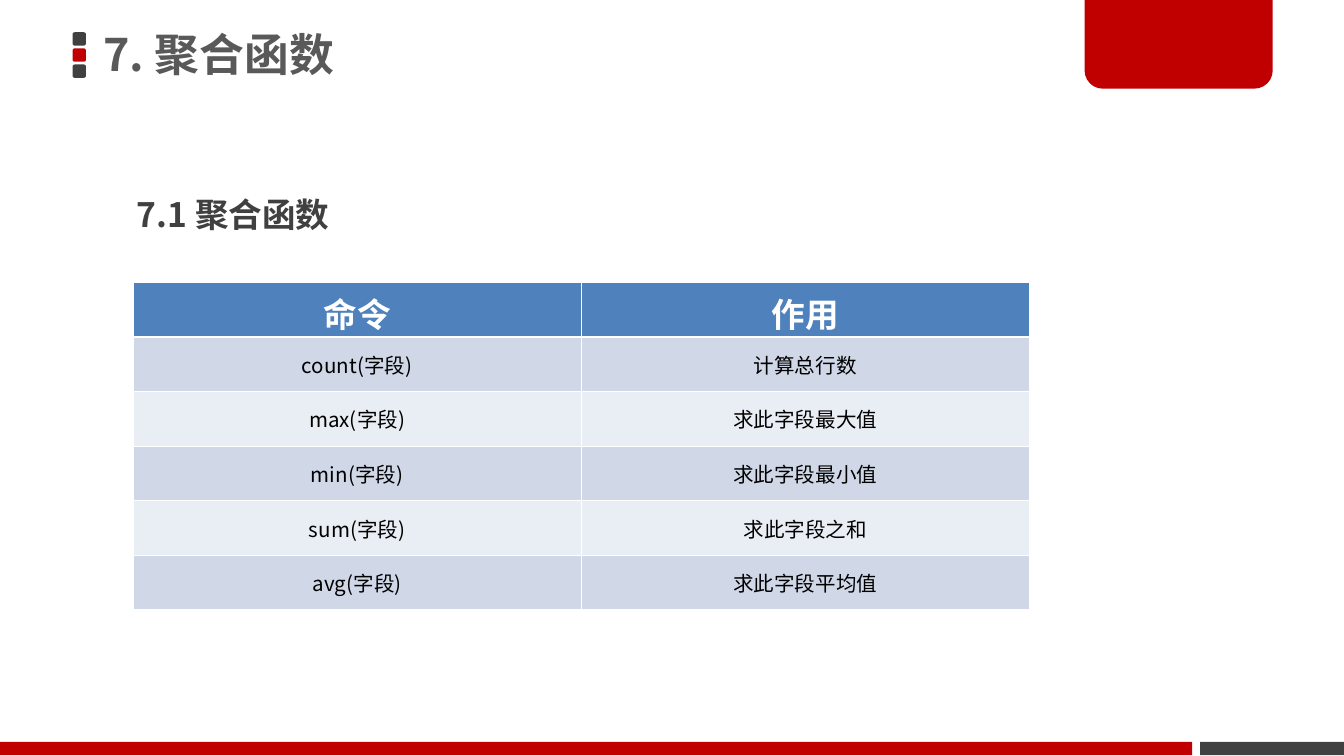
from lxml import etree
from pptx import Presentation
from pptx.dml.color import RGBColor
from pptx.enum.shapes import MSO_SHAPE
from pptx.enum.text import MSO_ANCHOR, MSO_AUTO_SIZE, PP_ALIGN
from pptx.oxml.ns import qn
from pptx.util import Inches, Pt

DARK, RED, WHITE = "404040", "C00000", "FFFFFF"
CJK_FONT = "Noto Sans CJK SC"


def paint(fill, color):
    fill.solid()
    fill.fore_color.rgb = RGBColor.from_string(color)


def style_text(paragraph, size, color, bold, name=CJK_FONT):
    """Set the font for both Latin and East Asian characters."""
    font = paragraph.font
    font.size, font.bold, font.name = Pt(size), bold, name
    paint(font.fill, color)
    properties = paragraph._p.pPr.find(qn("a:defRPr"))
    etree.SubElement(properties, qn("a:ea"), typeface=name)


presentation = Presentation()
presentation.slide_width = Inches(10)
presentation.slide_height = Inches(10 * 9 / 16)
slide = presentation.slides.add_slide(presentation.slide_layouts[5])

# Title markers, footer bars and corner tab
ROUND, RECT, TAB = (MSO_SHAPE.ROUNDED_RECTANGLE, MSO_SHAPE.RECTANGLE,
                    MSO_SHAPE.ROUND_2_SAME_RECTANGLE)
decorations = [(ROUND, 0.54, 0.24 + 0.12 * i, 0.1, 0.1, color)
               for i, color in enumerate((DARK, RED, DARK))]
decorations += [
    (RECT, 8.93, 5.52, 1.07, 0.1, DARK),
    (TAB, 8.07, -0.02, 1.4, 0.68, RED),
    (RECT, 0, 5.52, 8.87, 0.1, RED),
]
for kind, left, top, width, height, color in decorations:
    shape = slide.shapes.add_shape(
        kind, Inches(left), Inches(top), Inches(width), Inches(height))
    shape.shadow.inherit = False
    paint(shape.fill, color)
    shape.line.fill.background()
    if kind == TAB:
        shape.adjustments[0], shape.adjustments[1] = 0, 0.2

# Title
title = slide.shapes.title
title.left, title.top = Inches(0.69), Inches(-0.02)
title.width, title.height = Inches(5.89), Inches(0.89)
frame = title.text_frame
frame.text = "7. 聚合函数"
frame.auto_size = MSO_AUTO_SIZE.NONE
frame.vertical_anchor = MSO_ANCHOR.MIDDLE
frame.margin_left = frame.margin_right = Inches(0.08)
frame.margin_top = frame.margin_bottom = Inches(0.04)
paragraph = frame.paragraphs[0]
paragraph.alignment = PP_ALIGN.LEFT
paragraph.line_spacing = 0.9
style_text(paragraph, 24, "595959", True)

# Section heading
heading = slide.shapes.add_textbox(
    Inches(0.92), Inches(1.24), Inches(3.84), Inches(0.55))
frame = heading.text_frame
frame.word_wrap = True
frame.auto_size = MSO_AUTO_SIZE.SHAPE_TO_FIT_TEXT
frame.text = "7.1 聚合函数"
paragraph = frame.paragraphs[0]
paragraph.line_spacing = 1.5
style_text(paragraph, 18, DARK, True)

# Table of functions
rows = [
    ("命令", "作用"),
    ("count(字段)", "计算总行数"),
    ("max(字段)", "求此字段最大值"),
    ("min(字段)", "求此字段最小值"),
    ("sum(字段)", "求此字段之和"),
    ("avg(字段)", "求此字段平均值"),
]
table = slide.shapes.add_table(
    len(rows), 2, Inches(0.99), Inches(2.1), Inches(6.67), Inches(2.44)).table
for i, row in enumerate(rows):
    header = i == 0
    for j, text in enumerate(row):
        cell = table.cell(i, j)
        cell.text = text
        paragraph = cell.text_frame.paragraphs[0]
        paragraph.alignment = PP_ALIGN.CENTER
        if header:
            cell.margin_top, cell.margin_bottom = Inches(0.1), 0
            style_text(paragraph, 18, WHITE, True, "Calibri")
        else:
            cell.vertical_anchor = MSO_ANCHOR.MIDDLE
            style_text(paragraph, 11, "000000", False)
        for side in ("L", "R", "T", "B"):
            thick = (i, side) in ((0, "B"), (1, "T"))
            line = etree.SubElement(cell._tc.get_or_add_tcPr(), qn(f"a:ln{side}"),
                                    w=str(Pt(1.47 if thick else 0.45)))
            solid = etree.SubElement(line, qn("a:solidFill"))
            etree.SubElement(solid, qn("a:srgbClr"), val=WHITE)
        paint(cell.fill, "4F81BD" if header else "D0D8E8" if i % 2 else "E9EDF4")

presentation.save("out.pptx")
